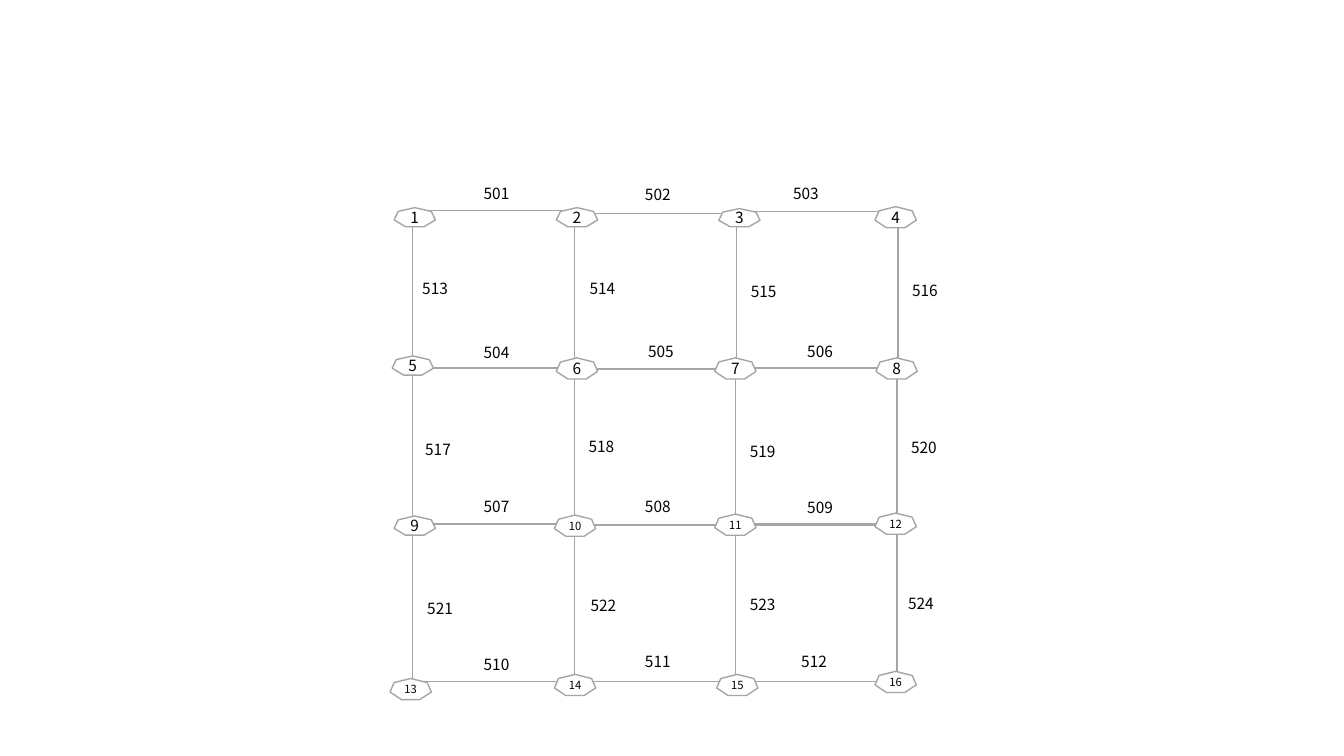
from pptx import Presentation
from pptx import util as u
from pptx.dml.color import RGBColor
from pptx.enum import shapes, text

# Content: (left, top, width, height) of the nine blocks
BLOCKS = [
    (294.5, 150.5, 118.1, 112.3), (410.4, 152.6, 117.4, 110.9),
    (526.3, 151.2, 115.2, 111.6),
    (294.5, 262.8, 118.1, 112.3), (410.4, 263.5, 115.2, 113.8),
    (525.6, 262.8, 115.2, 111.6),
    (294.5, 374.4, 116.6, 112.3), (410.4, 375.1, 115.2, 111.6),
    (525.6, 375.1, 115.2, 111.6),
]

# (left, top, height) of nodes 1 to 16, row by row
NODES = [
    (281.5, 148.3, 13.7), (397.4, 148.3, 13.7),
    (513.4, 149, 13), (625, 147.6, 15.1),
    (280.1, 254.2, 13.7), (397.4, 255.6, 15.1),
    (510.5, 255.6, 15.1), (625.7, 255.6, 15.1),
    (281.5, 368.6, 13.7), (396, 367.9, 15.1),
    (510.5, 367.2, 15.1), (625, 366.5, 15.1),
    (278.6, 484.6, 15.1), (396, 481.7, 15.1),
    (511.9, 481.7, 15.1), (625, 479.5, 15.1),
]

# (left, top) of link labels: 501 to 512 run across, 513 to 524 run down
LABELS = [
    (338.4, 128.2), (453.6, 128.9), (559.4, 128.2),
    (338.4, 241.2), (455.8, 240.5), (569.5, 240.5),
    (338.4, 351.4), (453.6, 351.4), (569.5, 352.1),
    (338.4, 464.4), (453.6, 462.2), (565.2, 462.2),
    (294.5, 195.8), (414, 195.8), (529.2, 198), (644.4, 197.3),
    (296.6, 311), (413.3, 308.9), (528.5, 312.5), (643.7, 309.6),
    (298.1, 424.1), (414.7, 422.6), (528.5, 421.2), (641.5, 420.5),
]
FIRST = 501
WIDE = {520: 70.6}
NODE_W, LABEL_W, LABEL_H = 29.5, 56.9, 20.9

FONT = "Noto Sans CJK SC"
WHITE = RGBColor(0xFF, 0xFF, 0xFF)
GREY = RGBColor(0xA5, 0xA5, 0xA5)
BLACK = RGBColor(0, 0, 0)

NODE_FRAME = {
    "margin_left": 0, "margin_right": 0, "margin_top": 0, "margin_bottom": 0,
    "word_wrap": False, "vertical_anchor": text.MSO_ANCHOR.MIDDLE,
}
LABEL_FRAME = {
    "word_wrap": True, "auto_size": text.MSO_AUTO_SIZE.SHAPE_TO_FIT_TEXT,
}


def add_form(slide, kind, box):
    form = slide.shapes.add_shape(kind, *map(u.Pt, box))
    form.shadow.inherit = False
    form.fill.solid()
    form.fill.fore_color.rgb = WHITE
    form.line.color.rgb = GREY
    form.line.width = u.Pt(1)
    return form


def write(form, words, size, align, look):
    frame = form.text_frame
    for name, value in look.items():
        setattr(frame, name, value)
    para = frame.paragraphs[0]
    para.alignment = align
    run = para.add_run()
    run.text = words
    for name, value in {"name": FONT, "size": u.Pt(size)}.items():
        setattr(run.font, name, value)
    run.font.color.rgb = BLACK


def main():
    deck = Presentation()
    deck.slide_width, deck.slide_height = u.Pt(960), u.Pt(540)
    slide = deck.slides.add_slide(deck.slide_layouts[6])

    # Blocks, whose edges are the links
    for box in BLOCKS:
        add_form(slide, shapes.MSO_SHAPE.RECTANGLE, box)

    # Numbered nodes, smaller type for two digits
    for num, (left, top, high) in enumerate(NODES, 1):
        node = add_form(slide, shapes.MSO_SHAPE.HEPTAGON,
                        (left, top, NODE_W, high))
        write(node, str(num), 11 if num < 10 else 8,
              text.PP_ALIGN.CENTER, NODE_FRAME)

    # Link labels
    for num, (left, top) in enumerate(LABELS, FIRST):
        box = (left, top, WIDE.get(num, LABEL_W), LABEL_H)
        label = slide.shapes.add_textbox(*map(u.Pt, box))
        write(label, str(num), 11, text.PP_ALIGN.LEFT, LABEL_FRAME)

    deck.save("out.pptx")


if __name__ == "__main__":
    main()
